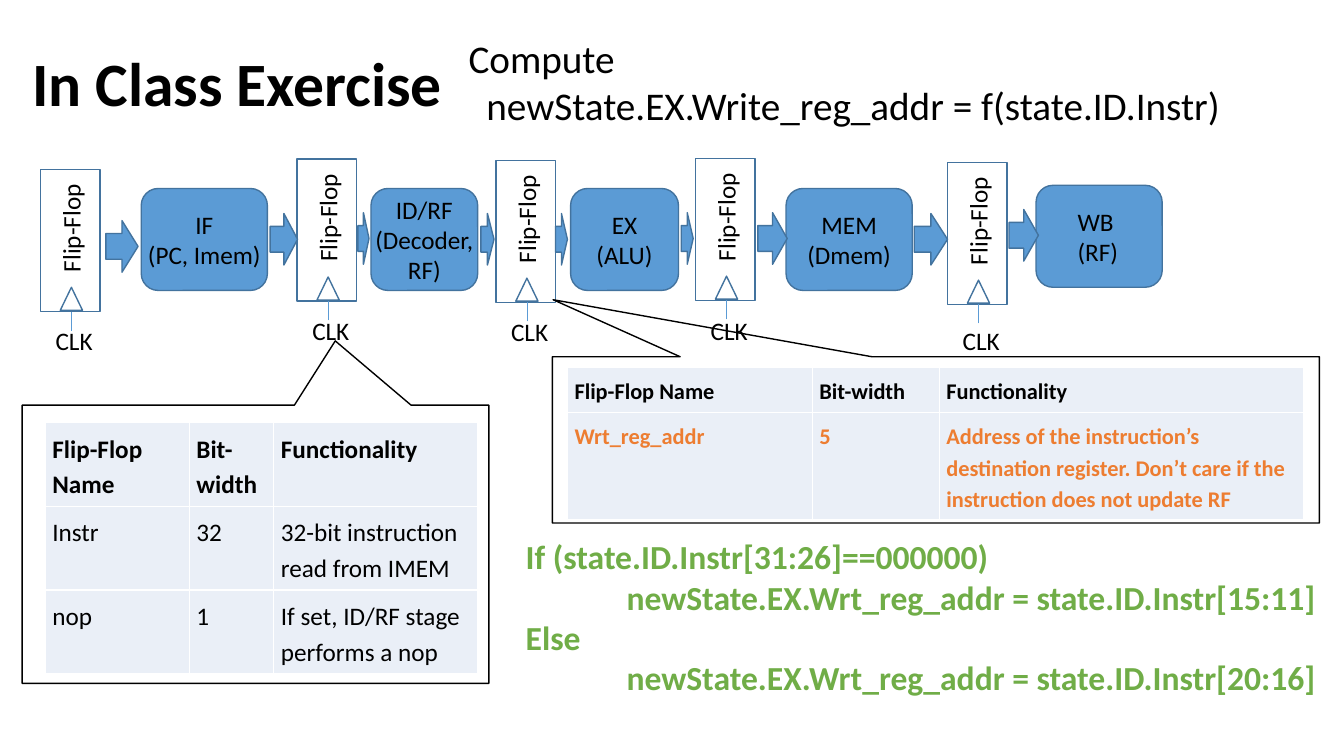
from lxml import etree
from pptx import Presentation
from pptx.dml.color import RGBColor
from pptx.enum.shapes import MSO_CONNECTOR, MSO_SHAPE
from pptx.enum.text import MSO_ANCHOR, PP_ALIGN
from pptx.oxml import parse_xml
from pptx.oxml.ns import nsdecls, qn
from pptx.util import Cm, Pt

LEFT, CENTER = PP_ALIGN.LEFT, PP_ALIGN.CENTER
TOP, MIDDLE = MSO_ANCHOR.TOP, MSO_ANCHOR.MIDDLE
RECTANGLE, ROUNDED = MSO_SHAPE.RECTANGLE, MSO_SHAPE.ROUNDED_RECTANGLE
TRIANGLE, ARROW = MSO_SHAPE.ISOSCELES_TRIANGLE, MSO_SHAPE.RIGHT_ARROW
CALLOUT = MSO_SHAPE.RECTANGULAR_CALLOUT
STRAIGHT = MSO_CONNECTOR.STRAIGHT

FONT = "Calibri"
COLORS = {"black": "000000", "white": "FFFFFF", "blue": "5B9BD5", "outline": "43739E",
          "cell": "EAEFF7", "orange": "ED7D31", "green": "70AD47"}

# All lengths below are centimetres.
TITLE = "In Class Exercise"
# Lines of text with their indents
TASK = [("Compute", 0), ("newState.EX.Write_reg_addr = f(state.ID.Instr)", 0.45)]
ANSWER = [("If (state.ID.Instr[31:26]==000000)", 0),
          ("newState.EX.Wrt_reg_addr = state.ID.Instr[15:11]", 2.54),
          ("Else", 0),
          ("newState.EX.Wrt_reg_addr = state.ID.Instr[20:16]", 2.54)]
# Text, left, top, width, alignment, left margin
STAGES = [("IF\n(PC, Imem)", 3.56, 4.75, 3.18, CENTER, 0),
          ("ID/RF\n(Decoder,\vRF)", 9.35, 4.75, 2.69, CENTER, 0),
          ("EX\n(ALU)", 14.38, 4.75, 2.72, CENTER, 0),
          ("MEM\n(Dmem)", 19.81, 4.75, 3.18, CENTER, 0),
          ("WB\n(RF)", 26.11, 4.67, 3.18, LEFT, 0.92)]
STAGE_HEIGHT = 2.57
# Left, top, top of the clock label
FLIP_FLOPS = [(1.02, 4.27, 8.08), (7.49, 4.01, 7.82), (12.5, 4.04, 7.85),
              (17.53, 3.99, 7.82), (23.88, 4.09, 8.08)]
# Left, top, width
ARROWS = [(2.67, 5.56, 0.81), (6.81, 5.38, 0.69), (9.02, 5.36, 0.28),
          (12.12, 5.38, 0.33), (14, 5.38, 0.3), (17.17, 5.36, 0.3),
          (19.1, 5.36, 0.74), (23.04, 5.38, 0.84), (25.43, 5.28, 0.74)]
ARROW_HEIGHT = 1.3
HEADER = ("Flip-Flop Name", "Bit-width", "Functionality")
REGISTERS = [
    {"callout": (13.92, 8.99, 19.33, 4.19), "tip": (-0.499, -0.843),
     "corner": (14.3, 9.25), "columns": (6.17, 3.2, 9.17), "rows": (1.12, 2.69),
     "size": 16, "body_bold": True, "body_color": "orange",
     "body": [("Wrt_reg_addr", "5", "Address of the instruction’s destination register. "
               "Don’t care if the instruction does not update RF")]},
    {"callout": (0.56, 10.21, 11.76, 7.01), "tip": (0.171, -0.731),
     "corner": (1.14, 10.64), "columns": (3.63, 2.13, 5.13), "rows": (2.11,) * 3,
     "size": 18, "body_bold": False, "body_color": "black",
     "body": [("Instr", "32", "32-bit instruction read from IMEM"),
              ("nop", "1", "If set, ID/RF stage performs a nop")]},
]


def rgb(name):
    """Return the named colour."""
    return RGBColor.from_string(COLORS[name])


def format_text(text_frame, size, color="black", bold=False, align=LEFT, spacing=None):
    """Format every paragraph and run of a text frame."""
    for paragraph in text_frame.paragraphs:
        paragraph.alignment = align
        if spacing:
            paragraph.line_spacing = spacing
        for run in paragraph.runs:
            run.font.name, run.font.size, run.font.bold = FONT, Pt(size), bold
            run.font.color.rgb = rgb(color)


def add_shape(slide, kind, box, fill=None, line="outline"):
    """Add a preset shape, hollow unless a fill is named."""
    shape = slide.shapes.add_shape(kind, *map(Cm, box))
    shape.shadow.inherit = False
    if fill:
        shape.fill.solid()
        shape.fill.fore_color.rgb = rgb(fill)
    else:
        shape.fill.background()
    shape.line.color.rgb = rgb(line)
    shape.line.width = Pt(1)
    return shape


def add_text(slide, text, box, size, wrap=False, **style):
    """Add a formatted text box."""
    text_box = slide.shapes.add_textbox(*map(Cm, box))
    frame = text_box.text_frame
    frame.word_wrap = wrap
    frame.vertical_anchor = TOP
    frame.text = text
    format_text(frame, size, **style)
    return text_box


def add_indented_text(slide, lines, box, size, wrap=False, **style):
    """Add a text box whose lines have their own indents."""
    text = "\n".join(line for line, _ in lines)
    text_box = add_text(slide, text, box, size, wrap, **style)
    for paragraph, (_, indent) in zip(text_box.text_frame.paragraphs, lines):
        properties = paragraph._p.get_or_add_pPr()
        properties.set("marL", str(Cm(indent)))
        properties.set("indent", "0")


def add_stage(slide, text, left, top, width, align, margin):
    """Add one pipeline stage with its label inside."""
    stage = add_shape(slide, ROUNDED, (left, top, width, STAGE_HEIGHT), "blue")
    frame = stage.text_frame
    frame.word_wrap = align == LEFT
    frame.vertical_anchor = MIDDLE
    frame.margin_left = Cm(margin)
    frame.margin_right = frame.margin_top = frame.margin_bottom = 0
    frame.text = text
    format_text(frame, 18, align=align)


def add_flip_flop(slide, left, top, label_top):
    """Add a flip-flop with its clock notch, clock line and labels."""
    width, height = 1.5, 3.58
    add_shape(slide, RECTANGLE, (left, top, width, height))
    add_shape(slide, TRIANGLE, (left + 0.5, top + 2.97, 0.56, 0.58))
    name_width, name_height = 2.74, 1.02
    name_box = (left + 0.76 - name_width / 2, top + 1.47 - name_height / 2,
                name_width, name_height)
    add_text(slide, "Flip-Flop", name_box, 18).rotation = 270
    x, bottom = Cm(left + 0.78), top + height
    clock = slide.shapes.add_connector(STRAIGHT, x, Cm(bottom + 0.48), x, Cm(bottom))
    clock.line.color.rgb = rgb("blue")
    clock.line.width = Pt(0.5)
    etree.SubElement(clock._element.spPr, qn("a:effectLst"))
    add_text(slide, "CLK", (left + 0.13, label_top, 1.47, 1.02), 18)


def format_cell(cell, text, size, color, bold):
    """Fill one table cell and give it white borders."""
    cell.text = text
    cell.margin_left = cell.margin_right = cell.margin_top = cell.margin_bottom = Cm(0.18)
    format_text(cell.text_frame, size, color, bold, spacing=1.15)
    properties = cell._tc.get_or_add_tcPr()
    for side in "LRTB":
        properties.append(parse_xml(
            f'<a:ln{side} w="{Pt(1)}" {nsdecls("a")}><a:solidFill>'
            f'<a:srgbClr val="{COLORS["white"]}"/></a:solidFill></a:ln{side}>'))
    cell.fill.solid()
    cell.fill.fore_color.rgb = rgb("cell")


def add_registers(slide, group):
    """Add a table of register fields framed by a callout."""
    rows = [HEADER] + group["body"]
    box = (*group["corner"], sum(group["columns"]), sum(group["rows"]))
    table = slide.shapes.add_table(len(rows), len(HEADER), *map(Cm, box)).table
    table.first_row = table.horz_banding = False
    for column, width in zip(table.columns, group["columns"]):
        column.width = Cm(width)
    for row, height in zip(table.rows, group["rows"]):
        row.height = Cm(height)
    for i, texts in enumerate(rows):
        color = group["body_color"] if i else "black"
        bold = group["body_bold"] if i else True
        for j, text in enumerate(texts):
            format_cell(table.cell(i, j), text, group["size"], color, bold)
    callout = add_shape(slide, CALLOUT, group["callout"], line="black")
    callout.adjustments[0], callout.adjustments[1] = group["tip"]


presentation = Presentation()
presentation.slide_width, presentation.slide_height = Cm(33.87), Cm(19.05)
slide = presentation.slides.add_slide(presentation.slide_layouts[5])

title = slide.shapes.title
title.left, title.top, title.width, title.height = map(Cm, (0.56, 0.33, 29.21, 3.68))
title.text_frame.text = TITLE
title.text_frame.vertical_anchor = MIDDLE
format_text(title.text_frame, 44, bold=True, spacing=0.9)

for stage in STAGES:
    add_stage(slide, *stage)
for flip_flop in FLIP_FLOPS:
    add_flip_flop(slide, *flip_flop)
for left, top, width in ARROWS:
    add_shape(slide, ARROW, (left, top, width, ARROW_HEIGHT), "blue")
for group in REGISTERS:
    add_registers(slide, group)
add_indented_text(slide, ANSWER, (13, 13.39, 20.62, 5.38), 24, color="green", bold=True)
add_indented_text(slide, TASK, (11.56, 0.74, 19.66, 2.64), 28, wrap=True)

presentation.save("out.pptx")
